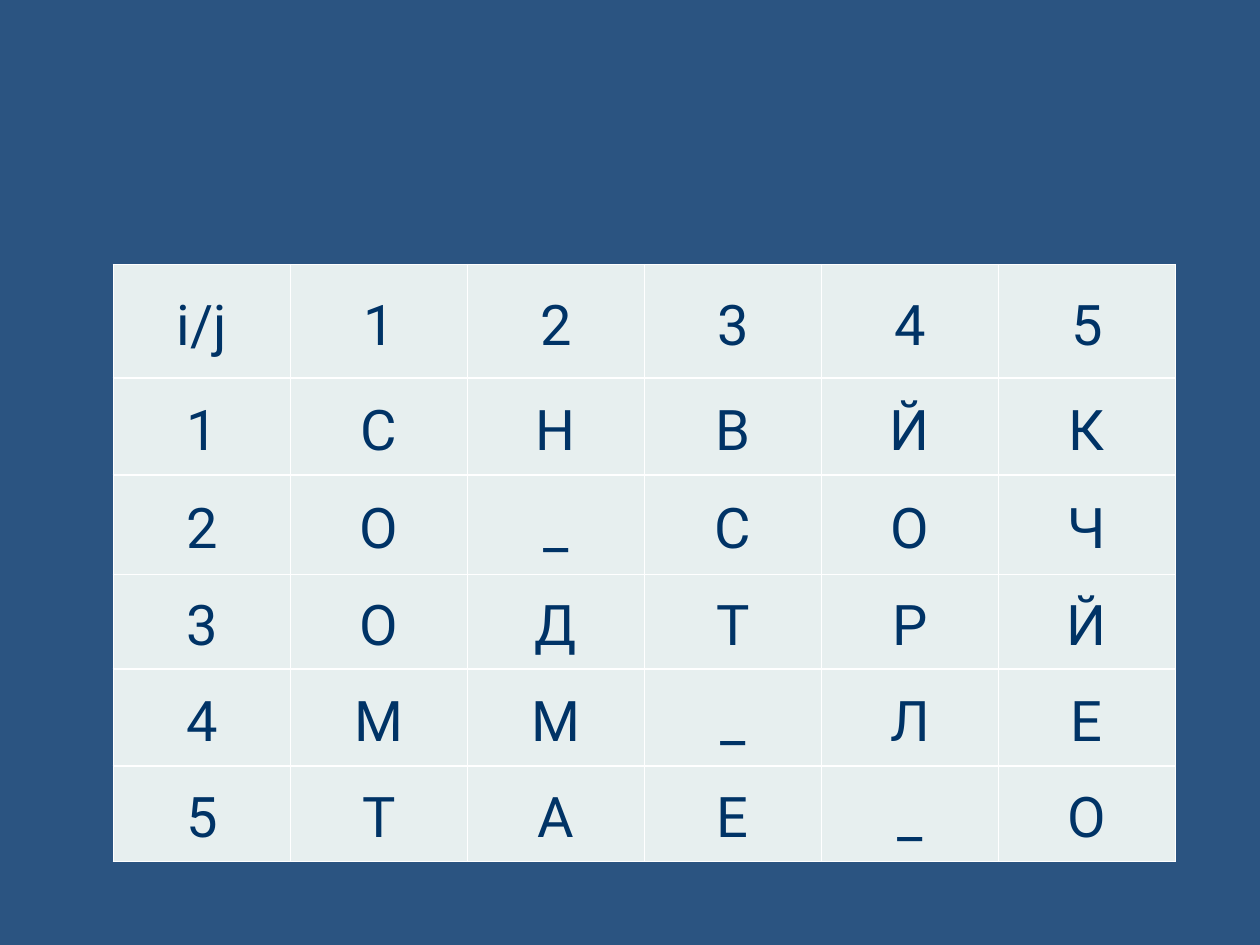
"""Build a slide with a letter grid indexed by row i and column j."""
from dataclasses import dataclass

from lxml import etree
from pptx import Presentation
from pptx.dml.color import RGBColor
from pptx.enum import text
from pptx.oxml import ns
from pptx.util import Pt

LETTERS = ["СНВЙК", "О_СОЧ", "ОДТРЙ", "ММ_ЛЕ", "ТАЕ_О"]
ROW_HEIGHTS = [64.8, 55.44, 56.88, 54, 55.44, 54.72]
COLUMN_WIDTH = 101.16
LEFT, TOP = 64.8, 151.2


@dataclass(frozen=True)
class Theme:
    background: str = "2B5481"
    cell: str = "E7EFEF"
    ink: str = "003366"
    border: str = "FFFFFF"
    border_width: float = 1
    font: str = "Roboto"
    size: float = 32
    line_spacing: float = 1.15
    side_margin: float = 3.6


THEME = Theme()


def paint(fill, color):
    fill.solid()
    fill.fore_color.rgb = RGBColor.from_string(color)


def add_borders(cell):
    properties = cell._tc.get_or_add_tcPr()
    for side in ("lnL", "lnR", "lnT", "lnB"):
        line = etree.SubElement(properties, ns.qn(f"a:{side}"), w=str(Pt(THEME.border_width)))
        solid = etree.SubElement(line, ns.qn("a:solidFill"))
        etree.SubElement(solid, ns.qn("a:srgbClr"), val=THEME.border)


def fill_cell(cell, label):
    add_borders(cell)
    paint(cell.fill, THEME.cell)
    cell.vertical_anchor = text.MSO_ANCHOR.MIDDLE
    cell.margin_left = cell.margin_right = Pt(THEME.side_margin)
    cell.margin_top = cell.margin_bottom = Pt(0)
    cell.text_frame.text = label
    para = cell.text_frame.paragraphs[0]
    para.alignment = text.PP_ALIGN.CENTER
    para.line_spacing = THEME.line_spacing
    font = para.runs[0].font
    font.name, font.size, font.bold = THEME.font, Pt(THEME.size), False
    font.color.rgb = RGBColor.from_string(THEME.ink)


def add_grid(page):
    columns = len(LETTERS[0])
    header = ["i/j", *(str(j) for j in range(1, columns + 1))]
    rows = [header] + [[str(i), *letters] for i, letters in enumerate(LETTERS, 1)]
    table = page.shapes.add_table(
        len(rows), len(header), Pt(LEFT), Pt(TOP),
        Pt(COLUMN_WIDTH * len(header)), Pt(sum(ROW_HEIGHTS)),
    ).table
    table.first_row = table.horz_banding = False
    for column in table.columns:
        column.width = Pt(COLUMN_WIDTH)
    for row, height, labels in zip(table.rows, ROW_HEIGHTS, rows):
        row.height = Pt(height)
        for cell, label in zip(row.cells, labels):
            fill_cell(cell, label)


def main():
    deck = Presentation()
    deck.slide_width, deck.slide_height = Pt(720), Pt(540)
    page = deck.slides.add_slide(deck.slide_layouts[6])
    paint(page.background.fill, THEME.background)
    add_grid(page)
    deck.save("out.pptx")


if __name__ == "__main__":
    main()
